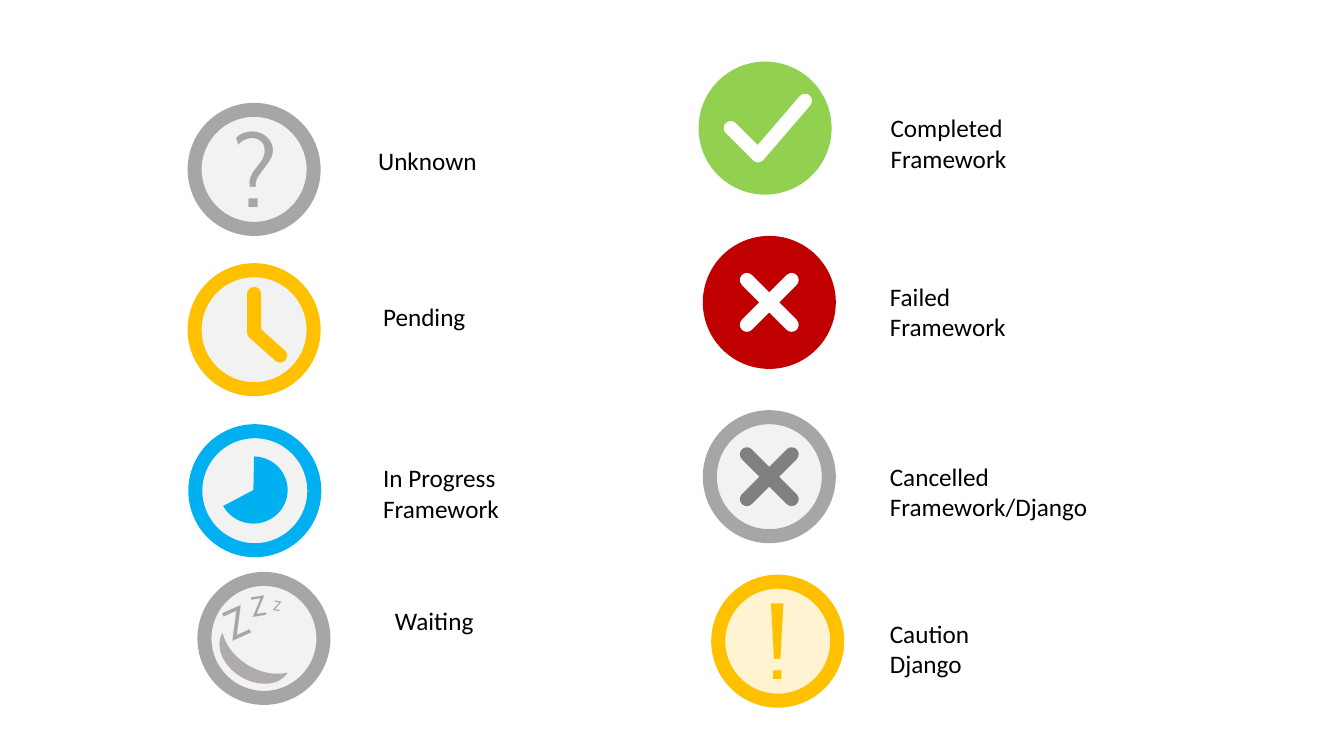
from lxml import etree
from pptx import Presentation
from pptx.dml.color import RGBColor
from pptx.enum import shapes, text
from pptx.oxml import ns
from pptx.util import Pt

COLORS = {"black": "000000", "ink": "0D0D0D", "gray": "A6A6A6", "dark": "808080",
          "moon": "AFABAB", "white": "FFFFFF", "amber": "FFC000", "blue": "00B0F0",
          "green": "92D050", "red": "C00000"}
RGB = {name: RGBColor.from_string(value) for name, value in COLORS.items()}
DISC = 85
CROSS_START, CROSS_END = 26.5, 58.5


def stroke(sp, color):
    """Give a shape a thick line with round ends and joins, and no shadow."""
    sp.line.width = Pt(10)
    sp.line.color.rgb = RGB[color]
    ln = sp.element.spPr.get_or_add_ln()
    ln.set("cap", "rnd")
    etree.SubElement(ln, ns.qn("a:round"))
    etree.SubElement(sp.element.spPr, ns.qn("a:effectLst"))


def write(parent, box, lines, size=18, font="Calibri", color="black",
          align=text.PP_ALIGN.LEFT, inset=None, wrap=True, rotation=0):
    """Add a text box with one paragraph per line."""
    sp = parent.add_textbox(*map(Pt, box))
    sp.rotation = rotation
    tf = sp.text_frame
    tf.word_wrap = wrap
    if inset is not None:
        for side in ("left", "top", "right", "bottom"):
            setattr(tf, f"margin_{side}", Pt(inset))
    for i, line in enumerate(lines):
        p = tf.paragraphs[0] if i == 0 else tf.add_paragraph()
        p.alignment = align
        r = p.add_run()
        r.text = line
        for key, value in {"size": Pt(size), "name": font}.items():
            setattr(r.font, key, value)
        r.font.color.rgb = RGB[color]


prs = Presentation()
prs.slide_width, prs.slide_height = Pt(960), Pt(540)
s = prs.slides.add_slide(prs.slide_layouts[6])

# name: left, top, ring, fill, fill opacity in percent, label left, label top, lines
statuses = {
    "unknown": (139, 78.5, "gray", "ink", 5, 263, 100, ["Unknown"]),
    "pending": (139, 193, "amber", "ink", 5, 266.5, 212, ["Pending"]),
    "progress": (139.5, 308, "blue", "ink", 5, 266.5, 327, ["In Progress", "Framework"]),
    "waiting": (146, 413.5, "gray", "ink", 5, 275, 429, ["Waiting"]),
    "completed": (504, 49, "green", "green", 100, 629, 77, ["Completed", "Framework"]),
    "failed": (507, 173.5, "red", "red", 100, 628.5, 197.5, ["Failed", "Framework"]),
    "cancelled": (507, 298, "gray", "ink", 5, 628.5, 326, ["Cancelled", "Framework/Django"]),
    "caution": (513, 415.5, "amber", "amber", 18, 628.5, 438, ["Caution", "Django"]),
}
# Everything inside a disc is placed from the disc's top left corner.
signs = {"unknown": ("?", "gray"), "caution": ("!", "amber")}
crosses = {"failed": "white", "cancelled": "dark"}
strokes = {"pending": ("amber", [(42.5, 17), (42.5, 44.5), (61, 61)]),
           "completed": ("white", [(18, 42.5), (37.5, 62), (71, 23)])}
solids = {
    "progress": (shapes.MSO_SHAPE.PIE, (17, 18, 49, 48), 0, [162.666, 91.223], "blue"),
    "waiting": (shapes.MSO_SHAPE.MOON, (21, 34, 20, 54.5), 301.4, [0.487], "moon"),
}
# left, top, height, size, rotation, inset
snores = [(13, 6.5, 36, 30, -24.2, 0), (26, 2, 31.5, 20, -9.2, None),
          (42, 11.5, 19.5, 10, 9.2, None)]

for name, (x, y, ring, fill, opacity, label_x, label_y, lines) in statuses.items():
    icon = s.shapes.add_group_shape().shapes
    disc = icon.add_shape(shapes.MSO_SHAPE.OVAL, Pt(x), Pt(y), Pt(DISC), Pt(DISC))
    disc.fill.solid()
    disc.fill.fore_color.rgb = RGB[fill]
    if opacity < 100:
        clr = disc.element.spPr.find(".//" + ns.qn("a:srgbClr"))
        etree.SubElement(clr, ns.qn("a:alpha"), val=str(opacity * 1000))
    stroke(disc, ring)

    if name in signs:
        sign, color = signs[name]
        write(icon, (x + 28, y - 2, 29.5, 87), [sign], 72, "Cabin", color,
              text.PP_ALIGN.CENTER, inset=0, wrap=False)

    if name in crosses:
        for start, end in ((CROSS_START, CROSS_END), (CROSS_END, CROSS_START)):
            bar = icon.add_connector(shapes.MSO_CONNECTOR.STRAIGHT,
                                     Pt(x + CROSS_START), Pt(y + start),
                                     Pt(x + CROSS_END), Pt(y + end))
            stroke(bar, crosses[name])

    if name in strokes:
        color, points = strokes[name]
        first, *rest = [(Pt(x + dx), Pt(y + dy)) for dx, dy in points]
        builder = icon.build_freeform(*first)
        builder.add_line_segments(rest, close=False)
        mark = builder.convert_to_shape()
        mark.fill.background()
        stroke(mark, color)

    if name in solids:
        kind, (dx, dy, w, h), rotation, adjustments, color = solids[name]
        sp = icon.add_shape(kind, Pt(x + dx), Pt(y + dy), Pt(w), Pt(h))
        sp.rotation = rotation
        for i, value in enumerate(adjustments):
            sp.adjustments[i] = value
        sp.fill.solid()
        sp.fill.fore_color.rgb = RGB[color]
        sp.line.fill.background()
        sp.shadow.inherit = False

    if name == "waiting":
        for dx, dy, h, size, rotation, inset in snores:
            write(icon, (x + dx, y + dy, 44.5, h), ["Z"], size, "Cabin", "gray",
                  inset=inset, rotation=rotation)

    write(s.shapes, (label_x, label_y, 240, 7.2 + 22 * len(lines)), lines)

prs.save("out.pptx")
